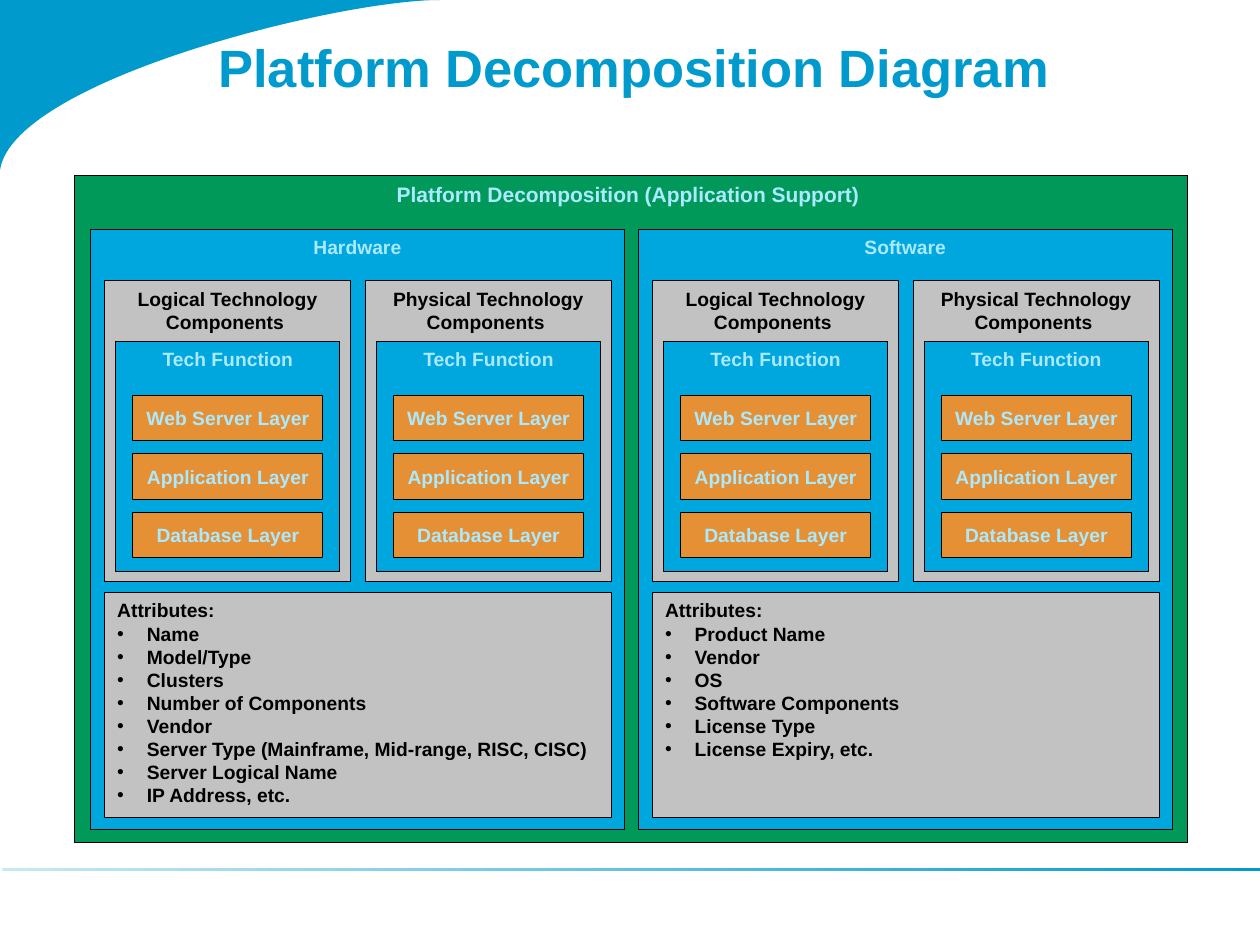
from lxml import etree
from pptx import Presentation
from pptx.dml.color import RGBColor
from pptx.enum.shapes import MSO_SHAPE
from pptx.enum.text import MSO_ANCHOR, PP_ALIGN
from pptx.oxml.ns import qn
from pptx.util import Pt

RECTANGLE = MSO_SHAPE.RECTANGLE
TOP, MIDDLE = MSO_ANCHOR.TOP, MSO_ANCHOR.MIDDLE
LEFT, CENTER = PP_ALIGN.LEFT, PP_ALIGN.CENTER

COLORS = {
    "accent": "009BCC",
    "accent_light": "C6E9F4",
    "green": "009959",
    "blue": "00A6DE",
    "gray": "C3C2C2",
    "orange": "E59034",
    "pale_text": "ABE9FF",
    "black": "000000",
}
FONT = "Arial"
LAYERS = ["Web Server Layer", "Application Layer", "Database Layer"]
COMPONENTS = ["Logical Technology Components ", "Physical Technology Components "]
PANELS = {
    "Hardware": [
        "Name", "Model/Type", "Clusters", "Number of Components", "Vendor",
        "Server Type (Mainframe, Mid-range, RISC, CISC)",
        "Server Logical Name", "IP Address, etc.",
    ],
    "Software": [
        "Product Name", "Vendor", "OS", "Software Components",
        "License Type", "License Expiry, etc.",
    ],
}


def rgb(name):
    return RGBColor.from_string(COLORS[name])


def add_run(paragraph, text, size, color):
    run = paragraph.add_run()
    run.text = text
    run.font.name = FONT
    run.font.size = Pt(size)
    run.font.bold = True
    run.font.color.rgb = rgb(color)


def add_bullet(paragraph):
    properties = paragraph._p.get_or_add_pPr()
    properties.set("marL", str(Pt(16.9)))
    properties.set("indent", str(-Pt(16.9)))
    etree.SubElement(properties, qn("a:buFont")).set("typeface", FONT)
    etree.SubElement(properties, qn("a:buChar")).set("char", "•")


def add_box(slide, box, fill, text, color="pale_text", size=11, anchor=TOP, align=CENTER):
    shape = slide.shapes.add_shape(RECTANGLE, *map(Pt, box))
    shape.shadow.inherit = False
    shape.fill.solid()
    shape.fill.fore_color.rgb = rgb(fill)
    shape.line.color.rgb = rgb("black")
    shape.line.width = Pt(0.5)
    frame = shape.text_frame
    frame.word_wrap = True
    frame.vertical_anchor = anchor
    paragraph = frame.paragraphs[0]
    paragraph.alignment = align
    add_run(paragraph, text, size, color)
    return frame


def add_corner(slide, box):
    left, top, width, height = box
    points = []
    for step in range(1, 61):
        t = step / 60
        u = 1 - t
        x = 0.09 * u * u * t + 2.3 * u * t * t + t ** 3
        y = u ** 3 + 1.42 * u * u * t
        points.append((Pt(left + width * x), Pt(top + height * y)))
    builder = slide.shapes.build_freeform(Pt(left), Pt(top + height))
    builder.add_line_segments(points + [(Pt(left), Pt(top))], close=True)
    shape = builder.convert_to_shape()
    shape.shadow.inherit = False
    shape.fill.solid()
    shape.fill.fore_color.rgb = rgb("accent")
    shape.line.fill.background()


def add_footer_rule(slide, box):
    shape = slide.shapes.add_shape(RECTANGLE, *map(Pt, box))
    shape.shadow.inherit = False
    shape.line.fill.background()
    shape.fill.gradient()
    shape.fill.gradient_angle = 0
    for stop, name, position in zip(
        shape.fill.gradient_stops, ["accent_light", "accent"], [0, 1]
    ):
        stop.color.rgb = rgb(name)
        stop.position = position


def add_title(slide, box):
    frame = slide.shapes.add_textbox(*map(Pt, box)).text_frame
    frame.word_wrap = True
    frame.margin_left = frame.margin_right = Pt(6)
    frame.margin_top, frame.margin_bottom = Pt(20), Pt(3)
    add_run(frame.paragraphs[0], "Platform Decomposition Diagram", 30, "accent")


def add_component(slide, box, name):
    left, top, width, height = box
    add_box(slide, box, "gray", name, "black")
    function_left, function_top = left + 6.3, top + 34.8
    function_width = width - 12.4
    function_box = (function_left, function_top, function_width, 131.2)
    add_box(slide, function_box, "blue", "Tech Function")
    for index, layer in enumerate(LAYERS):
        layer_box = (function_left + 9.7, function_top + 30.9 + 33.3 * index,
                     function_width - 19.4, 25.9)
        add_box(slide, layer_box, "orange", layer, anchor=MIDDLE)


def add_attributes(slide, box, attributes):
    frame = add_box(slide, box, "gray", "Attributes:", "black", align=LEFT)
    for attribute in attributes:
        paragraph = frame.add_paragraph()
        paragraph.alignment = LEFT
        add_bullet(paragraph)
        add_run(paragraph, attribute, 11, "black")


def add_panel(slide, box, name, attributes):
    left, top, width, height = box
    add_box(slide, box, "blue", name)
    inner_left, inner_width, gap = left + 8.3, width - 15.8, 8.5
    add_attributes(slide, (inner_left, top + 207.5, inner_width, 128.6), attributes)
    component_width = (inner_width - gap) / 2
    for index, component in enumerate(COMPONENTS):
        component_left = inner_left + index * (component_width + gap)
        add_component(slide, (component_left, top + 29.3, component_width, 172), component)


def add_diagram(slide, box):
    left, top, width, height = box
    add_box(slide, box, "green", "Platform Decomposition (Application Support) ", size=12)
    gap = 7.8
    panel_width = (width - 18 - gap) / 2
    for index, (name, attributes) in enumerate(PANELS.items()):
        panel_left = left + 9.1 + index * (panel_width + gap)
        add_panel(slide, (panel_left, top + 30.9, panel_width, 343), name, attributes)


def main():
    presentation = Presentation()
    presentation.slide_width, presentation.slide_height = Pt(720), Pt(540)
    slide = presentation.slides.add_slide(presentation.slide_layouts[6])
    add_corner(slide, (0, 0, 251.3, 97.2))
    add_footer_rule(slide, (1.4, 496, 718.6, 1.6))
    add_title(slide, (118.8, 0, 553, 105.8))
    add_diagram(slide, (42.5, 100.2, 636.3, 381.2))
    presentation.save("out.pptx")


if __name__ == "__main__":
    main()
